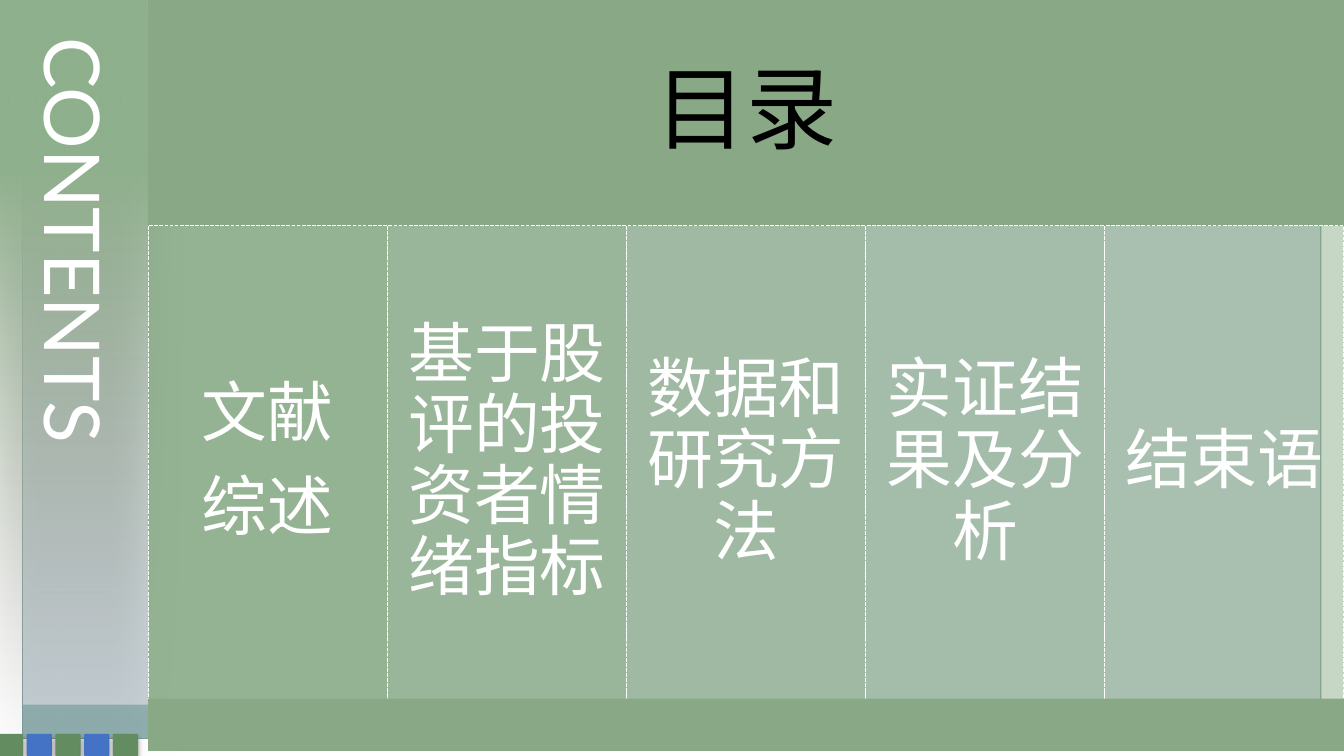
"""Build the contents slide: a vertical side band, a title bar and five topic columns."""
from dataclasses import dataclass

from lxml import etree
from pptx import Presentation
from pptx.dml.color import RGBColor
from pptx.enum import dml, shapes, text
from pptx.oxml.ns import qn
from pptx.util import Inches, Pt


@dataclass(frozen=True)
class Theme:
    background: str = "C5D1D7"
    white: str = "FFFFFF"
    black: str = "000000"
    teal: str = "8CADAE"
    outline: str = "7C999A"
    sage: str = "8FB08C"
    bar: str = "89A886"
    blush: str = "FDF7F6"
    blue: str = "4472C4"
    green: str = "648C61"
    body_font: str = "Cambria"
    side_font: str = "Lato"
    title_size: float = 65
    side_size: float = 55
    topic_size: float = 47


theme = Theme()
deck = Presentation()
deck.slide_width, deck.slide_height = Inches(13.33), Inches(7.5)
page = deck.slides.add_slide(deck.slide_layouts[5])
page.background.fill.solid()
page.background.fill.fore_color.rgb = RGBColor.from_string(theme.background)


def add_panel(area, color=None, shadow=None, kind=shapes.MSO_SHAPE.RECTANGLE):
    """Add a borderless shape; shadow is (opacity %, blur pt, distance pt, degrees)."""
    panel = page.shapes.add_shape(kind, *map(Inches, area))
    panel.shadow.inherit = False
    panel.line.fill.background()
    if color:
        panel.fill.solid()
        panel.fill.fore_color.rgb = RGBColor.from_string(color)
    else:
        panel.fill.background()
    if shadow:
        opacity, blur, distance, degrees = shadow
        effects = panel._element.spPr.find(qn("a:effectLst"))
        outer = etree.SubElement(
            effects, qn("a:outerShdw"), blurRad=str(Pt(blur)), dist=str(Pt(distance)),
            dir=str(degrees * 60000), algn="t", rotWithShape="0")
        tint = etree.SubElement(outer, qn("a:srgbClr"), val=theme.black)
        etree.SubElement(tint, qn("a:alpha"), val=str(opacity * 1000))
    return panel


def write_centered(box, wording, size, color, margin):
    """Fill a box with centred paragraphs."""
    frame = box.text_frame
    frame.text = wording
    frame.word_wrap = True
    frame.auto_size = text.MSO_AUTO_SIZE.NONE
    frame.vertical_anchor = text.MSO_ANCHOR.MIDDLE
    frame.margin_left = frame.margin_right = Inches(margin)
    frame.margin_top = frame.margin_bottom = Inches(margin)
    for para in frame.paragraphs:
        para.alignment = text.PP_ALIGN.CENTER
        para.line_spacing = 0.9
        para.space_after = Pt(round(size * 0.35, 1))
        para.font.size = Pt(size)
        para.font.name = theme.body_font
        para.font.color.rgb = RGBColor.from_string(color)


for area, color in (
    ((0, 7.33, 13.33, 0.17), theme.white),
    ((0, 0, 13.33, 1.52), theme.white),
    ((0, 0, 0.22, 7.5), theme.white),
    ((13.11, 0, 0.22, 7.5), theme.white),
    ((0.22, 6.99, 12.88, 0.34), theme.teal),
):
    add_panel(area, color)
border = add_panel((0.22, 0.17, 12.88, 7.16))
border.line.color.rgb = RGBColor.from_string(theme.outline)
border.line.width = Pt(0.75)

band = add_panel((-3, 2.99, 7.46, 1.47), theme.sage, shadow=(50, 31, 6, 97))
band.rotation = 90
band.fill.gradient()
band.fill.gradient_angle = 180
for stop, position, color in zip(
        band.fill.gradient_stops, (0, 0.78), (theme.blush, theme.sage)):
    stop.position = position
    stop.color.rgb = RGBColor.from_string(color)
clear_stop = band._element.spPr.find(".//" + qn("a:gs")).find(qn("a:srgbClr"))
etree.SubElement(clear_stop, qn("a:alpha"), val="0")

for index in range(5):
    square = add_panel(
        (-0.02 + 0.285 * index, 7.28, 0.25, 0.22),
        theme.blue if index % 2 else theme.green,
        shadow=(40, 4, 3, 90), kind=shapes.MSO_SHAPE.ROUNDED_RECTANGLE)
    square.adjustments[0] = 0.05

side_label = page.shapes.add_textbox(*map(Inches, (0.12, 0.27, 1.13, 4.94)))
side_label.text_frame.text = "CONTENTS"
side_label.text_frame.word_wrap = True
side_label.text_frame._txBody.bodyPr.set("vert", "eaVert")
span = side_label.text_frame.paragraphs[0].runs[0]
span.font.size = Pt(theme.side_size)
span.font.name = theme.side_font
span.font.color.rgb = RGBColor.from_string(theme.white)

content_left, content_width = 1.47, 11.86
title = page.shapes.title
title.left, title.top = Inches(content_left), Inches(0)
title.width, title.height = Inches(content_width), Inches(2.24)
title.fill.solid()
title.fill.fore_color.rgb = RGBColor.from_string(theme.bar)
write_centered(title, "目录", theme.title_size, theme.black, 0.27)
page.shapes._spTree.append(title._element)

topics = ("文献\n综述", "基于股评的投资者情绪指标", "数据和研究方法", "实证结果及分析", "结束语")
column_width = content_width / len(topics)
for index, topic in enumerate(topics):
    column = add_panel(
        (content_left + column_width * index, 2.24, column_width, 4.7), theme.sage)
    tint = column._element.spPr.find(qn("a:solidFill")).find(qn("a:srgbClr"))
    etree.SubElement(tint, qn("a:alpha"), val=str((90 - 10 * index) * 1000))
    column.line.color.rgb = RGBColor.from_string(theme.white)
    column.line.width = Pt(0.9)
    column.line.dash_style = dml.MSO_LINE.SQUARE_DOT
    write_centered(column, topic, theme.topic_size, theme.white, 0.2)

add_panel((content_left, 6.93, content_width, 0.52), theme.bar)

deck.save("out.pptx")
